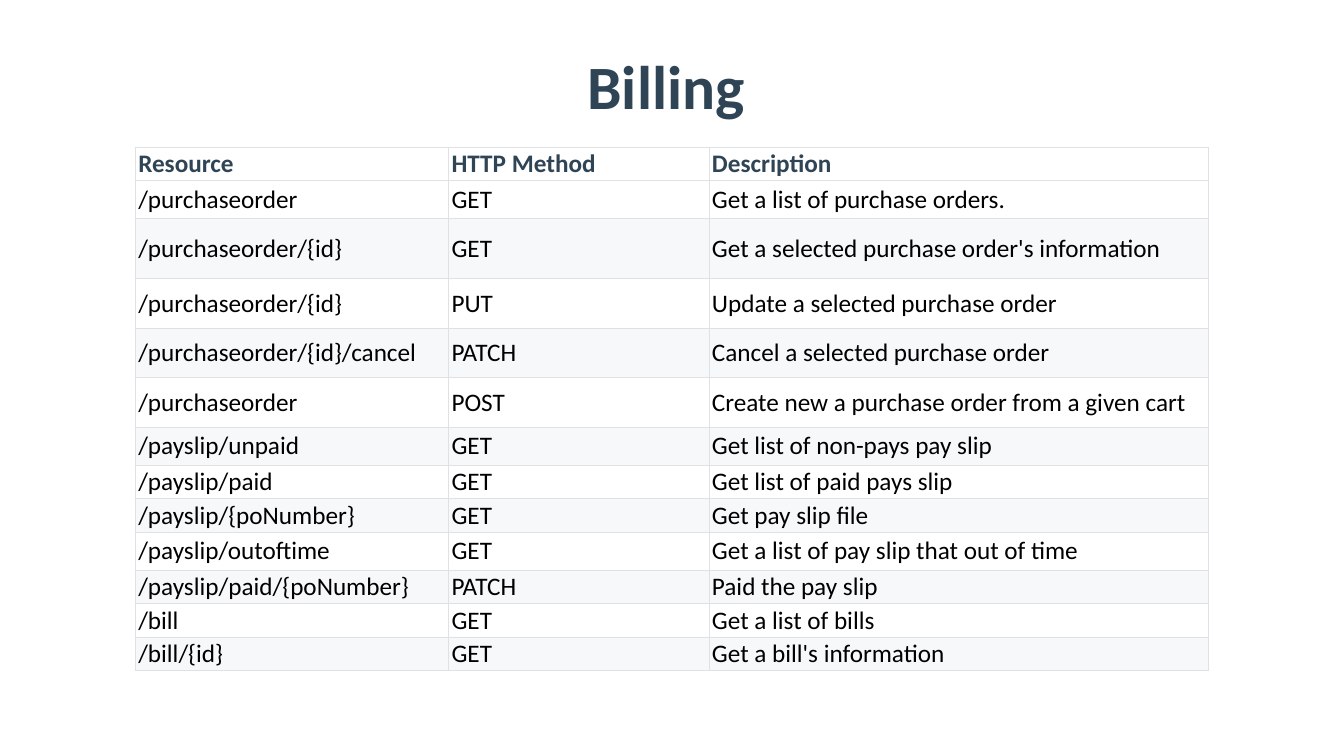
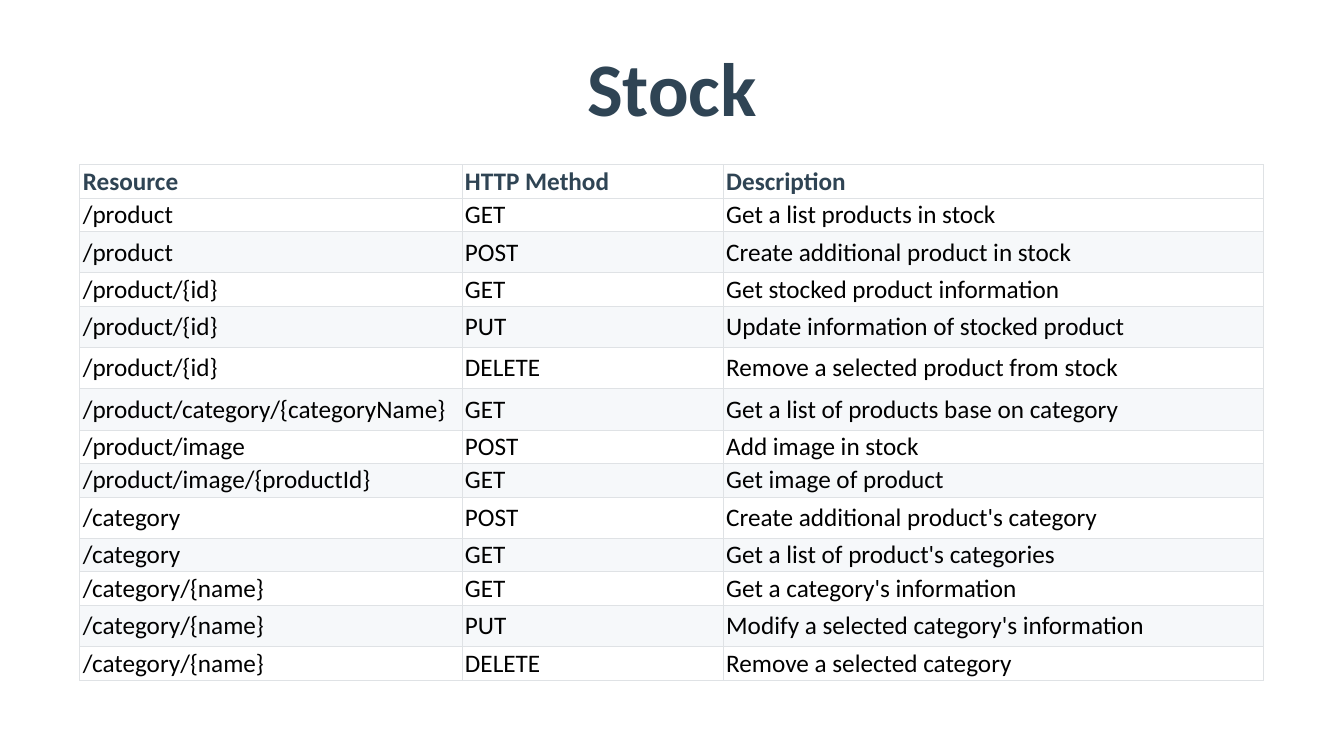
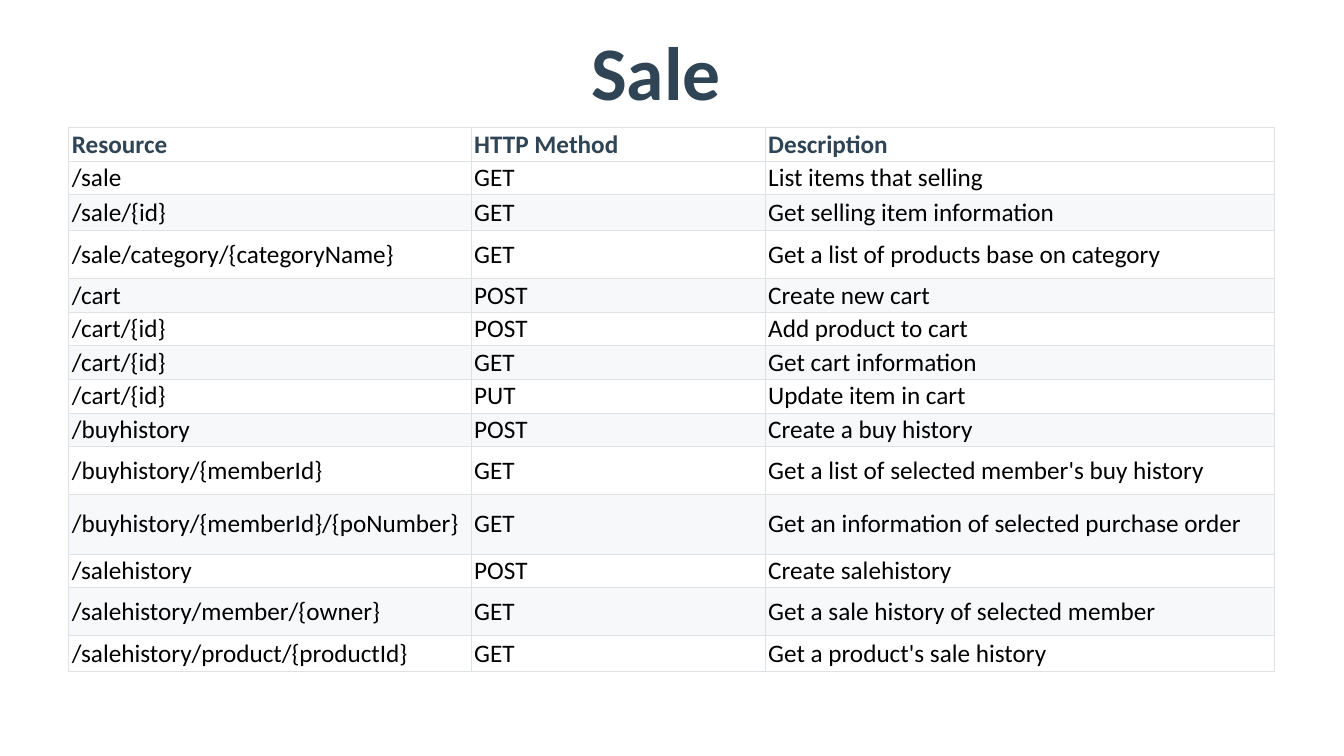
"""Three slides listing the REST resources of a shop: billing, stock and sale."""
from lxml import etree
from pptx import Presentation
from pptx import util as u
from pptx.dml.color import RGBColor
from pptx.enum import text
from pptx.oxml import ns

NAVY = RGBColor(0x2F, 0x44, 0x54)
BLACK = RGBColor(0x00, 0x00, 0x00)
WHITE = RGBColor(0xFF, 0xFF, 0xFF)
STRIPE = RGBColor(0xF6, 0xF8, 0xFA)
BORDER = RGBColor(0xDF, 0xE2, 0xE5)
FONT = "Calibri"
COLUMNS, ROWS = 16, 9
SHORT = 0.4
HEADINGS = ("Resource", "HTTP Method", "Description")

BILLING = [
    (0.45, "/purchaseorder", "GET", "Get a list of purchase orders."),
    (0.72, "/purchaseorder/{id}", "GET", "Get a selected purchase order's information"),
    (0.59, "/purchaseorder/{id}", "PUT", "Update a selected purchase order"),
    (0.59, "/purchaseorder/{id}/cancel", "PATCH", "Cancel a selected purchase order"),
    (0.59, "/purchaseorder", "POST", "Create new a purchase order from a given cart"),
    (0.45, "/payslip/unpaid", "GET", "Get list of non-pays pay slip"),
    (SHORT, "/payslip/paid", "GET", "Get list of paid pays slip"),
    (SHORT, "/payslip/{poNumber}", "GET", "Get pay slip file"),
    (0.45, "/payslip/outoftime", "GET", "Get a list of pay slip that out of time"),
    (SHORT, "/payslip/paid/{poNumber}", "PATCH", "Paid the pay slip"),
    (SHORT, "/bill", "GET", "Get a list of bills"),
    (SHORT, "/bill/{id}", "GET", "Get a bill's information"),
]
STOCK = [
    (SHORT, "/product", "GET", "Get a list products in stock"),
    (0.49, "/product", "POST", "Create additional product in stock"),
    (SHORT, "/product/{id}", "GET", "Get stocked product information"),
    (0.49, "/product/{id}", "PUT", "Update information of stocked product"),
    (0.49, "/product/{id}", "DELETE", "Remove a selected product from stock"),
    (0.49, "/product/category/{categoryName}", "GET", "Get a list of products base on category"),
    (SHORT, "/product/image", "POST", "Add image in stock"),
    (SHORT, "/product/image/{productId}", "GET", "Get image of product"),
    (0.49, "/category", "POST", "Create additional product's category"),
    (SHORT, "/category", "GET", "Get a list of product's categories"),
    (SHORT, "/category/{name}", "GET", "Get a category's information"),
    (0.49, "/category/{name}", "PUT", "Modify a selected category's information"),
    (SHORT, "/category/{name}", "DELETE", "Remove a selected category"),
]
SALE = [
    (SHORT, "/sale", "GET", "List items that selling"),
    (0.43, "/sale/{id}", "GET", "Get selling item information"),
    (0.57, "/sale/category/{categoryName}", "GET", "Get a list of products base on category"),
    (SHORT, "/cart", "POST", "Create new cart"),
    (SHORT, "/cart/{id}", "POST", "Add product to cart"),
    (SHORT, "/cart/{id}", "GET", "Get cart information"),
    (SHORT, "/cart/{id}", "PUT", "Update item in cart"),
    (SHORT, "/buyhistory", "POST", "Create a buy history"),
    (0.57, "/buyhistory/{memberId}", "GET", "Get a list of selected member's buy history"),
    (0.71, "/buyhistory/{memberId}/{poNumber}", "GET",
     "Get an information of selected purchase order"),
    (SHORT, "/salehistory", "POST", "Create salehistory"),
    (0.57, "/salehistory/member/{owner}", "GET", "Get a sale history of selected member"),
    (0.43, "/salehistory/product/{productId}", "GET", "Get a product's sale history"),
]


def write(frame, words, size=18, color=BLACK, bold=False, align=None, spacing=None):
    """Put formatted words in the first paragraph of a text frame."""
    frame.word_wrap = True
    paragraph = frame.paragraphs[0]
    paragraph.alignment = align
    paragraph.line_spacing = spacing
    run = paragraph.add_run()
    run.text = words
    run.font.name = FONT
    run.font.size = u.Pt(size)
    run.font.bold = bold
    run.font.color.rgb = color


class Deck:
    """Hold the presentation, its grid and the current slide."""

    def __init__(self):
        """Open an empty widescreen presentation."""
        self.show = Presentation()
        self.show.slide_width = u.Inches(13.33)
        self.show.slide_height = u.Inches(7.5)
        self.slide = None

    def x(self, columns):
        """Turn grid columns into a length."""
        return round(self.show.slide_width * columns / COLUMNS)

    def y(self, rows):
        """Turn grid rows into a length."""
        return round(self.show.slide_height * rows / ROWS)

    def new_slide(self):
        """Start a blank slide."""
        self.slide = self.show.slides.add_slide(self.show.slide_layouts[6])

    def title(self, words, left, top, width=13.8, height=1.74, size=54, spacing=0.9,
              drop=None, fill=None):
        """Add a centred title, in the middle of its box or at a drop from its top."""
        heading = self.slide.shapes.add_textbox(
            self.x(left), self.y(top), self.x(width), self.y(height))
        frame = heading.text_frame
        frame.vertical_anchor = text.MSO_ANCHOR.MIDDLE
        if drop is not None:
            frame.vertical_anchor = text.MSO_ANCHOR.TOP
            frame.margin_top = self.y(drop)
        if fill is not None:
            heading.fill.solid()
            heading.fill.fore_color.rgb = fill
        write(frame, words, size=size, color=NAVY, bold=True,
              align=text.PP_ALIGN.CENTER, spacing=spacing)

    def cell(self, cell, words, fill, **style):
        """Fill, frame and write one table cell."""
        properties = cell._tc.get_or_add_tcPr()
        for side in ("a:lnL", "a:lnR", "a:lnT", "a:lnB"):
            line = etree.SubElement(properties, ns.qn(side), w=str(u.Pt(0.75)))
            paint = etree.SubElement(line, ns.qn("a:solidFill"))
            etree.SubElement(paint, ns.qn("a:srgbClr"), val=str(BORDER))
        cell.fill.solid()
        cell.fill.fore_color.rgb = fill
        cell.margin_left = cell.margin_right = u.Inches(0.03)
        cell.margin_top = cell.margin_bottom = u.Inches(0.01)
        cell.vertical_anchor = text.MSO_ANCHOR.MIDDLE
        write(cell.text_frame, words, **style)

    def resources(self, entries, left, top, widths):
        """Add a striped table of resources under the shared headings."""
        lines = [(SHORT, *HEADINGS), *entries]
        height = sum(line[0] for line in lines)
        table = self.slide.shapes.add_table(
            len(lines), len(widths), self.x(left), self.y(top),
            self.x(sum(widths)), self.y(height)).table
        table.first_row = table.horz_banding = False
        for column, width in zip(table.columns, widths):
            column.width = self.x(width)
        for number, (row_height, *words) in enumerate(lines):
            table.rows[number].height = self.y(row_height)
            fill = STRIPE if number and number % 2 == 0 else WHITE
            style = {} if number else {"color": NAVY, "bold": True}
            for column, word in enumerate(words):
                self.cell(table.cell(number, column), word, fill, **style)


def main():
    """Build and save the slides."""
    deck = Deck()
    deck.new_slide()
    deck.title("Billing", 1.03, 0.2, size=44)
    deck.resources(BILLING, 1.61, 1.75, (3.73, 3.1, 5.95))
    deck.new_slide()
    deck.title("Stock", 1.1, 0.22)
    deck.resources(STOCK, 0.95, 1.96, (4.55, 3.11, 6.43))
    deck.new_slide()
    deck.title("Sale", 6.48, 0.1, 2.66, 1.99, spacing=None, drop=0.2, fill=WHITE)
    deck.resources(SALE, 0.82, 1.52, (4.79, 3.5, 6.06))
    deck.show.save("out.pptx")


if __name__ == "__main__":
    main()
